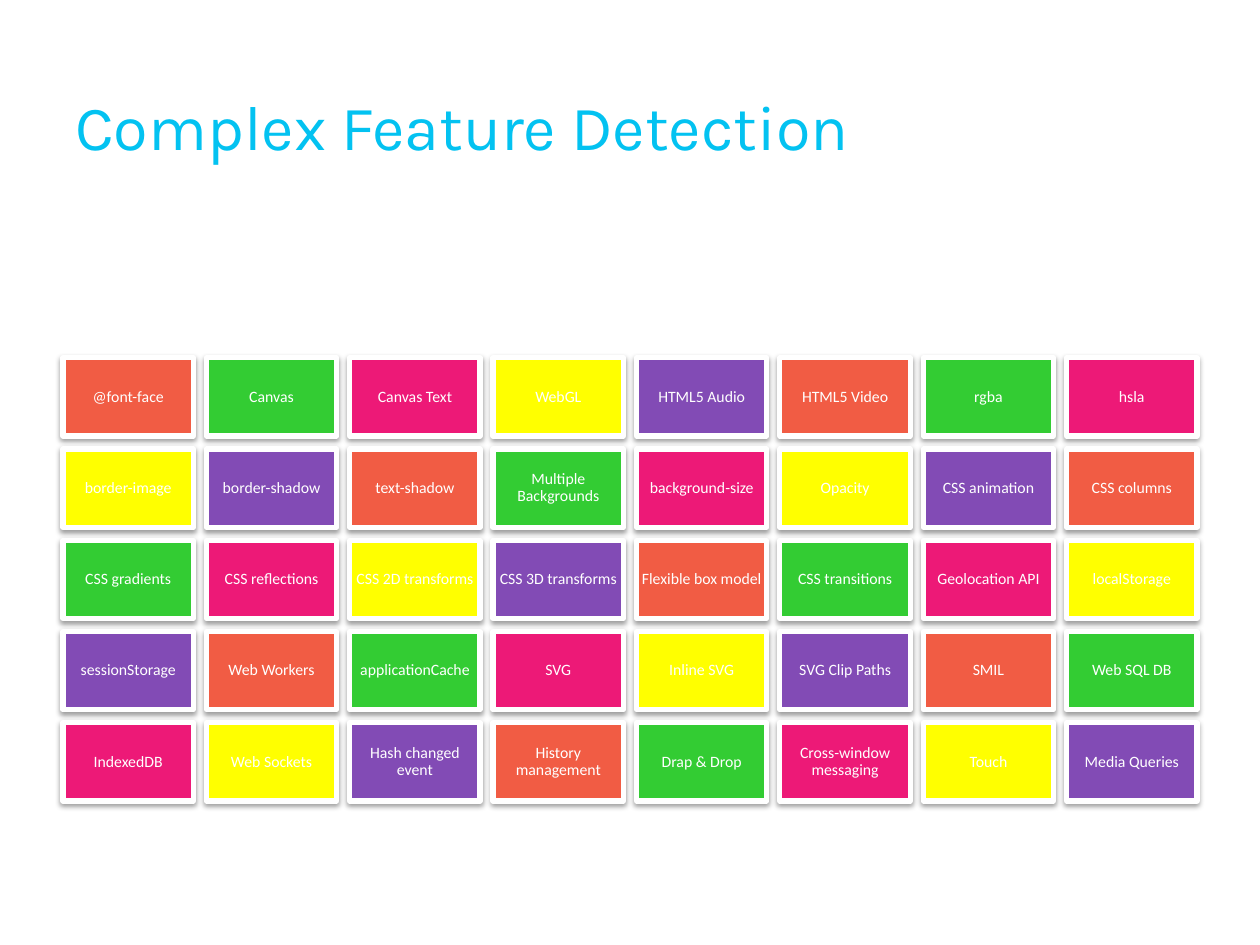
from dataclasses import dataclass

from lxml import etree
from pptx import Presentation
from pptx.dml.color import RGBColor
from pptx.enum.shapes import MSO_SHAPE
from pptx.enum.text import MSO_ANCHOR, PP_ALIGN
from pptx.oxml.ns import qn
from pptx.util import Inches, Pt

RECT = MSO_SHAPE.RECTANGLE
MIDDLE = MSO_ANCHOR.MIDDLE
LEFT, CENTER = PP_ALIGN.LEFT, PP_ALIGN.CENTER


@dataclass(frozen=True)
class Theme:
    """Colours, fonts and sizes of the slide."""
    title_color: str = "03C2F1"
    title_font: str = "Karla"
    title_size: int = 36
    tile_colors: tuple = ("F15C44", "33CC33", "ED1977", "FFFF00", "824BB5")
    tile_font: str = "Calibri"
    tile_size: int = 9
    white: str = "FFFFFF"
    border: int = 3
    shadow: str = "000000"


THEME = Theme()
WIDTH, HEIGHT = Inches(10), Inches(7.5)
MARGIN = WIDTH * 0.05
GRID_TOP = Inches(2.84)
COLUMNS = 8
GAP_SHARE = 0.1
TILE_W = (WIDTH - 2 * MARGIN) / (COLUMNS + GAP_SHARE * (COLUMNS - 1))
TILE_H = TILE_W * 0.6
GAP = TILE_W * GAP_SHARE

FEATURES = (
    "@font-face", "Canvas", "Canvas Text", "WebGL",
    "HTML5 Audio", "HTML5 Video", "rgba", "hsla",
    "border-image", "border-shadow", "text-shadow", "Multiple Backgrounds",
    "background-size", "Opacity", "CSS animation", "CSS columns",
    "CSS gradients", "CSS reflections", "CSS 2D transforms", "CSS 3D transforms",
    "Flexible box model", "CSS transitions", "Geolocation API", "localStorage",
    "sessionStorage", "Web Workers", "applicationCache", "SVG",
    "Inline SVG", "SVG Clip Paths", "SMIL", "Web SQL DB",
    "IndexedDB", "Web Sockets", "Hash changed event", "History management",
    "Drap & Drop", "Cross-window messaging", "Touch", "Media Queries",
)


def write(s, text, font, size, color, align):
    """Put one vertically centred paragraph into a shape."""
    tf = s.text_frame
    tf.word_wrap = True
    tf.vertical_anchor = MIDDLE
    p = tf.paragraphs[0]
    p.text = text
    p.alignment = align
    p.font.name = font
    p.font.size = Pt(size)
    p.font.color.rgb = RGBColor.from_string(color)
    return tf


def add_shadow(s):
    """Give a shape a soft shadow straight below it."""
    s.shadow.inherit = False
    effects = s._element.spPr.find(qn("a:effectLst"))
    outer = etree.SubElement(
        effects, qn("a:outerShdw"), blurRad=str(Pt(3.1)), dist=str(Pt(1.6)),
        dir="5400000", rotWithShape="0")
    color = etree.SubElement(outer, qn("a:srgbClr"), val=THEME.shadow)
    etree.SubElement(color, qn("a:alpha"), val="38000")


def add_title(slide, text):
    """Add the slide title."""
    s = slide.shapes.add_textbox(
        int(MARGIN), Inches(0.37), int(WIDTH - 2 * MARGIN), Inches(1.25))
    write(s, text, THEME.title_font, THEME.title_size, THEME.title_color, LEFT)


def add_tile(slide, index, text):
    """Add a feature tile at its place in the grid."""
    row, col = divmod(index, COLUMNS)
    s = slide.shapes.add_shape(
        RECT, int(MARGIN + col * (TILE_W + GAP)),
        int(GRID_TOP + row * (TILE_H + GAP)), int(TILE_W), int(TILE_H))
    color = THEME.tile_colors[index % len(THEME.tile_colors)]
    s.fill.solid()
    s.fill.fore_color.rgb = RGBColor.from_string(color)
    s.line.color.rgb = RGBColor.from_string(THEME.white)
    s.line.width = Pt(THEME.border)
    add_shadow(s)
    tf = write(s, text, THEME.tile_font, THEME.tile_size, THEME.white, CENTER)
    tf.margin_left = tf.margin_right = Inches(0.04)
    tf.margin_top = tf.margin_bottom = Inches(0.04)
    tf.paragraphs[0].line_spacing = 0.9


def main():
    """Build the slide and save it."""
    prs = Presentation()
    prs.slide_width, prs.slide_height = WIDTH, HEIGHT
    slide = prs.slides.add_slide(prs.slide_layouts[6])
    add_title(slide, "Complex Feature Detection")
    for index, text in enumerate(FEATURES):
        add_tile(slide, index, text)
    prs.save("out.pptx")


if __name__ == "__main__":
    main()
